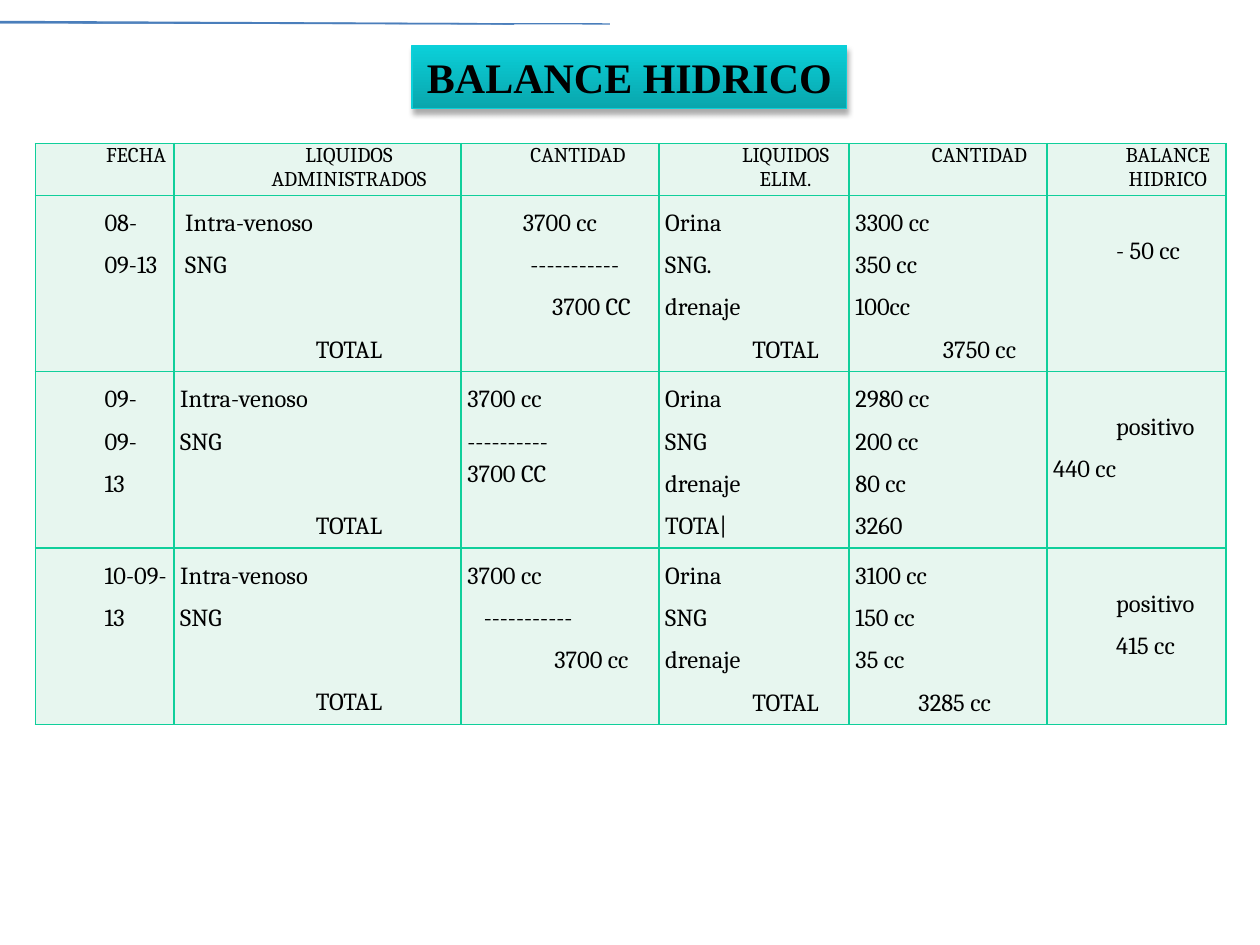
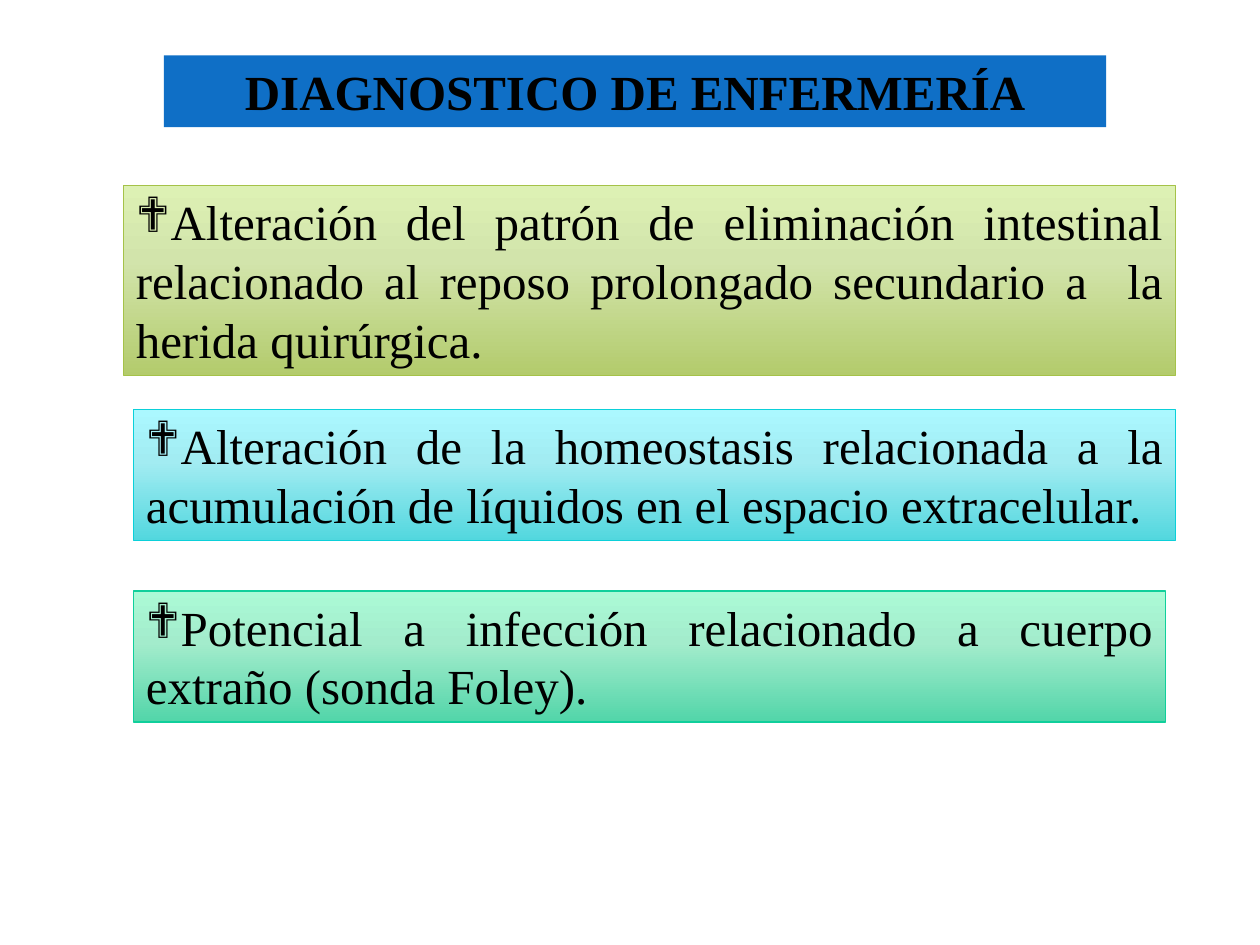
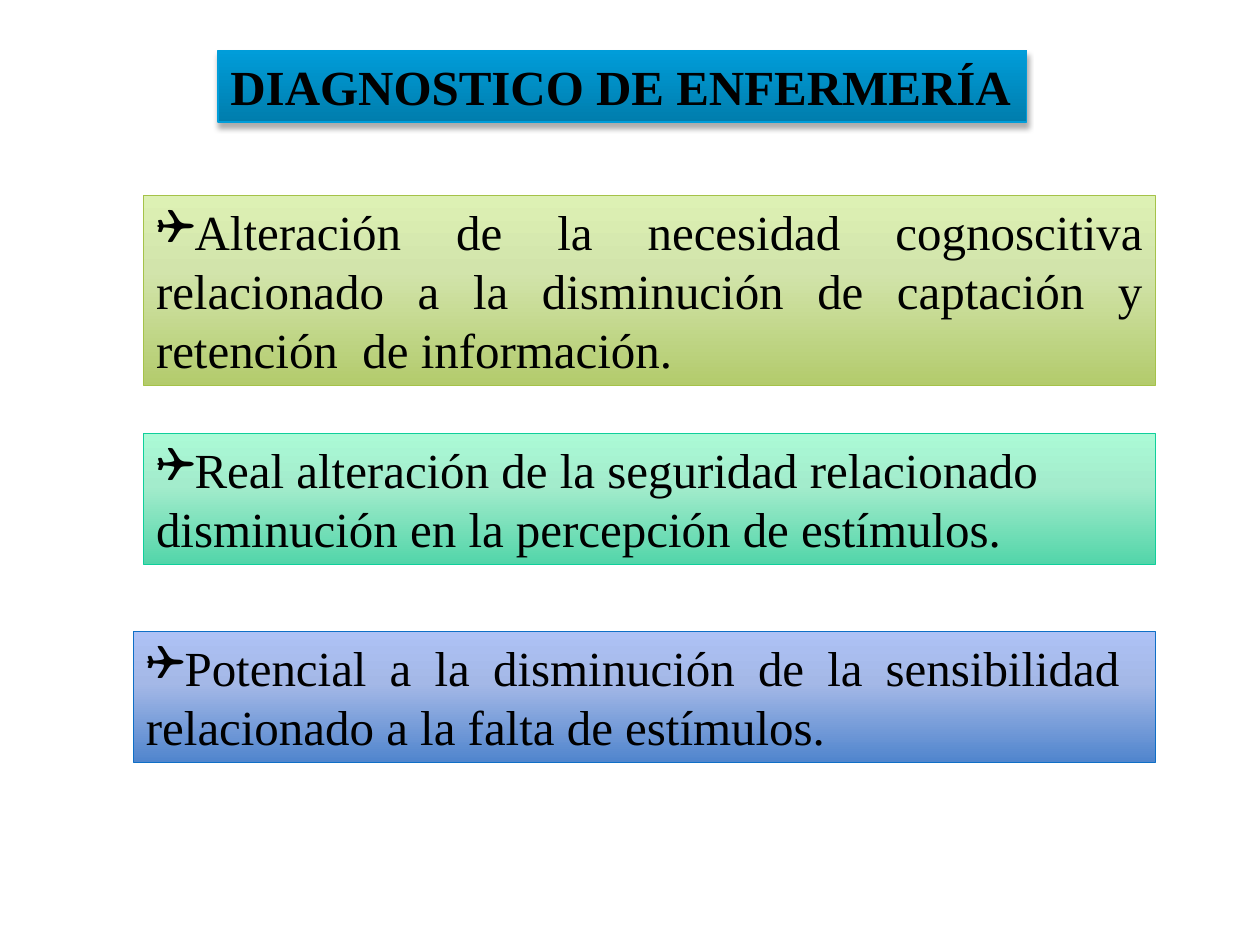
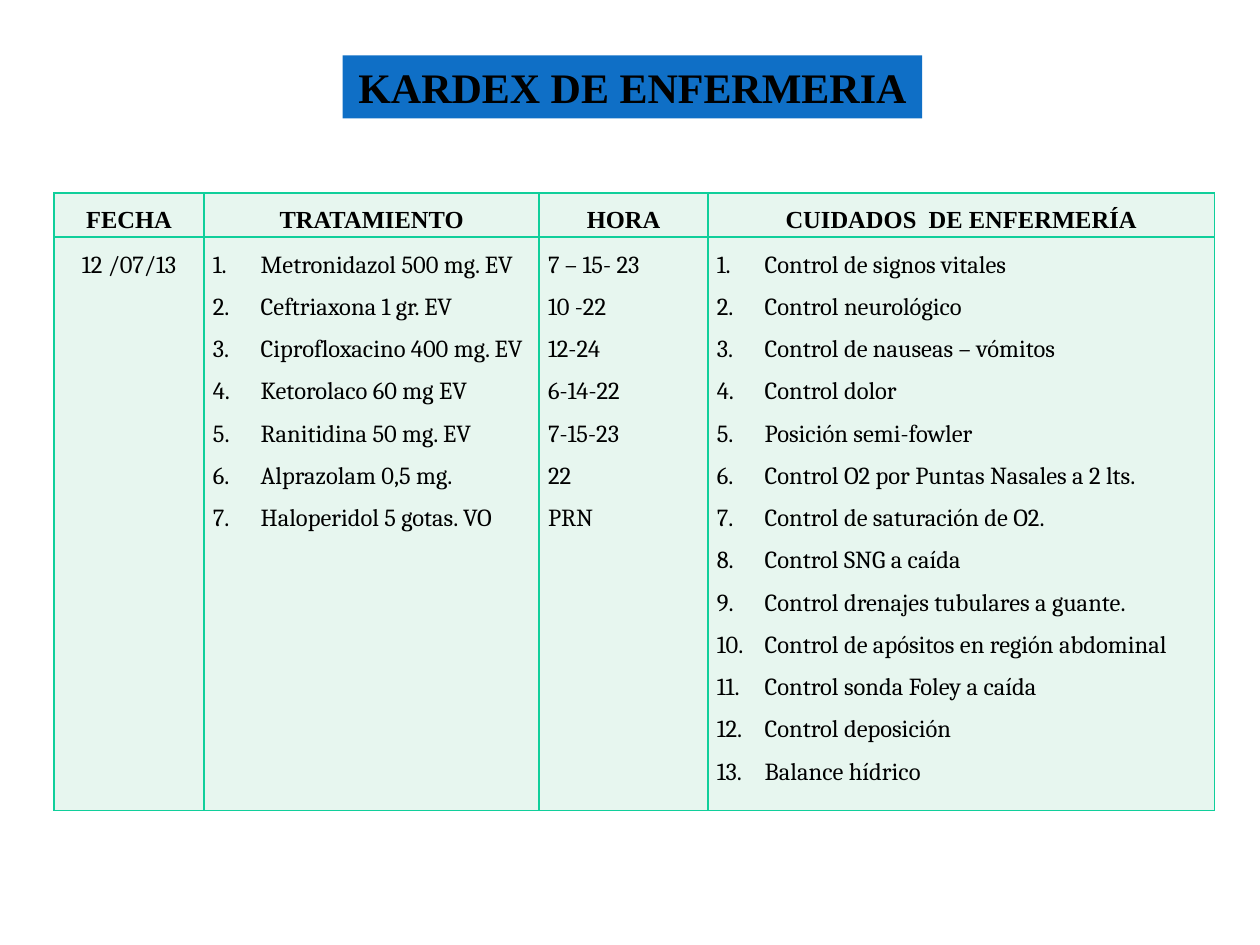
from copy import deepcopy
from dataclasses import dataclass

from lxml import etree
from pptx import Presentation
from pptx import util as u
from pptx.dml.color import RGBColor
from pptx.enum import shapes, text
from pptx.oxml import ns

GRID = u.Inches(0.1)  # the slide is 100 columns by 75 rows
CENTER, LEFT, JUSTIFY = text.PP_ALIGN.CENTER, text.PP_ALIGN.LEFT, text.PP_ALIGN.JUSTIFY


class Theme:
    serif, body = "Times New Roman", "Cambria"
    title, short_title, panel, cell, small = 28, 24, 28, 14, 12
    ink, cell_fill, border, rule = "000000", "E7F6EF", "10CF9B", "4A7EBB"
    # Each look is its gradient stops (position, colour) and its outline
    blue = [(0, "0F6FC6")], None
    teal = [(0, "0BD0D9"), (1, "09A6AD")], "0BD0D9"
    sky = [(0, "009DD9"), (1, "007DAD")], "009DD9"
    lime = [(0, "DDF1B4"), (0.4, "D2E4AB"), (1, "B3CB6C")], "A5C249"
    aqua = [(0, "ABF8FF"), (0.4, "A2ECF2"), (1, "52D7DE")], "0BD0D9"
    mint = [(0, "ABFAD6"), (0.4, "A3ECCC"), (1, "52D5A9")], "10CF9B"
    iris = [(0, "ADC1F5"), (0.4, "A4B8E7"), (1, "5085CD")], "0F6FC6"


@dataclass
class Para:
    """A cell paragraph; gap is the room above it, in grid rows."""
    text: str
    align: int = JUSTIFY
    left: float = 0
    spacing: float = 1.5
    gap: float = 0
    numbered: bool = False


def add_box(slide, box, words, look, size, bold=False, align=JUSTIFY, bullet=None,
            wrap=True, shadow=False):
    """Add a filled rectangle of text; box is left, top, width, height in grid units."""
    stops, outline = look
    sp = slide.shapes.add_shape(shapes.MSO_SHAPE.RECTANGLE, *(round(v * GRID) for v in box))
    sp.shadow.inherit = False
    if shadow:
        effects = sp._element.spPr.find(ns.qn("a:effectLst"))
        outer = etree.SubElement(effects, ns.qn("a:outerShdw"), blurRad="38100", dist="38100",
                                 dir="4800000", algn="tl", rotWithShape="0")
        black = etree.SubElement(outer, ns.qn("a:srgbClr"), val=Theme.ink)
        etree.SubElement(black, ns.qn("a:alpha"), val="32000")
    if len(stops) == 1:
        sp.fill.solid()
        sp.fill.fore_color.rgb = RGBColor.from_string(stops[0][1])
    else:
        sp.fill.gradient()
        sp.fill.gradient_angle = 270
        stop_list = sp._element.spPr.find(".//" + ns.qn("a:gsLst"))
        for _ in stops[2:]:
            stop_list.append(deepcopy(stop_list[0]))
        for stop, (position, color) in zip(sp.fill.gradient_stops, stops):
            stop.position = position
            stop.color.rgb = RGBColor.from_string(color)
    if outline:
        sp.line.color.rgb = RGBColor.from_string(outline)
        sp.line.width = u.Pt(0.75)
    else:
        sp.line.fill.background()
    tf = sp.text_frame
    tf.word_wrap = wrap
    tf.auto_size = text.MSO_AUTO_SIZE.SHAPE_TO_FIT_TEXT
    tf.vertical_anchor = text.MSO_ANCHOR.TOP
    p = tf.paragraphs[0]
    p.alignment = align
    if bullet:
        pPr = p._p.get_or_add_pPr()
        etree.SubElement(pPr, ns.qn("a:buFont"), typeface="Wingdings")
        etree.SubElement(pPr, ns.qn("a:buChar"), char=bullet)
    r = p.add_run()
    r.text = words
    r.font.name, r.font.size, r.font.bold = Theme.serif, u.Pt(size), bold
    r.font.color.rgb = RGBColor.from_string(Theme.ink)


def add_grid_table(slide, left, top, columns, heights, rows, inset, head_font, head_size, head_bold):
    box = (left, top, sum(columns), sum(heights))
    frame = slide.shapes.add_table(len(rows), len(columns), *(round(v * GRID) for v in box))
    table = frame.table
    table.first_row = table.horz_banding = False
    for column, width in zip(table.columns, columns):
        column.width = round(width * GRID)
    for i, (height, cells) in enumerate(zip(heights, rows)):
        table.rows[i].height = round(height * GRID)
        font, size, bold = (Theme.body, Theme.cell, False) if i else (head_font, head_size, head_bold)
        for j, paragraphs in enumerate(cells):
            cell = table.cell(i, j)
            cell.margin_left = cell.margin_right = round(inset * GRID)
            cell.margin_top = cell.margin_bottom = 0
            tcPr = cell._tc.get_or_add_tcPr()
            for side in ("a:lnL", "a:lnR", "a:lnT", "a:lnB"):
                ln = etree.SubElement(tcPr, ns.qn(side), w=str(u.Pt(1)))
                solid = etree.SubElement(ln, ns.qn("a:solidFill"))
                etree.SubElement(solid, ns.qn("a:srgbClr"), val=Theme.border)
            cell.fill.solid()
            cell.fill.fore_color.rgb = RGBColor.from_string(Theme.cell_fill)
            tf = cell.text_frame
            for k, item in enumerate(paragraphs):
                para = Para(item) if isinstance(item, str) else item
                p = tf.add_paragraph() if k else tf.paragraphs[0]
                p.alignment, p.line_spacing = para.align, para.spacing
                if para.gap and k:
                    p.space_before = u.Pt(round(para.gap * GRID / u.Pt(1)))
                elif para.gap:
                    cell.margin_top = round(para.gap * GRID)
                pPr = p._p.get_or_add_pPr()
                margin = round(para.left * GRID)
                pPr.set("marL", str(margin))
                pPr.set("indent", str(-margin if para.numbered else 0))
                if para.numbered:
                    etree.SubElement(pPr, ns.qn("a:buAutoNum"), type="arabicPeriod")
                r = p.add_run()
                r.text = para.text
                r.font.name, r.font.size, r.font.bold = font, u.Pt(size), bold
                r.font.color.rgb = RGBColor.from_string(Theme.ink)


prs = Presentation()
prs.slide_width, prs.slide_height = 100 * GRID, 75 * GRID
balance, diagnosis, perception, kardex = (
    prs.slides.add_slide(prs.slide_layouts[6]) for _ in range(4))

# Slide 1: fluid balance
add_box(balance, (32.7, 3.6, 34.5, 5), "BALANCE HIDRICO", Theme.teal, Theme.short_title,
        bold=True, align=CENTER, wrap=False, shadow=True)

LINE, HALF_LINE, TAB = 3.35, 2.2, 5
total = Para("TOTAL", CENTER, TAB)
late_total = Para("TOTAL", CENTER, TAB, gap=LINE)
heads = [("FECHA", CENTER), ("LIQUIDOS ADMINISTRADOS", CENTER), ("CANTIDAD", LEFT),
         ("LIQUIDOS ELIM.", CENTER), ("CANTIDAD", CENTER), ("BALANCE HIDRICO", CENTER)]
balance_rows = [
    [[Para(words, align, TAB, 1)] for words, align in heads],
    [[Para("08-09-13", left=TAB)],
     [Para("Intra-venoso", LEFT, 0.4), Para("SNG", LEFT, 0.4), late_total],
     [Para("3700 cc", CENTER), Para("-----------", LEFT, TAB), Para("3700 CC", CENTER, TAB)],
     ["Orina", "SNG.", "drenaje", total],
     ["3300 cc", "350 cc", "100cc", Para("3750 cc", CENTER, TAB)],
     [Para("- 50 cc", left=TAB, gap=HALF_LINE)]],
    [[Para("09-09-", left=TAB), Para("13", left=TAB)],
     ["Intra-venoso", "SNG", late_total],
     ["3700 cc", "----------", Para("3700 CC", spacing=1.15)],
     ["Orina", "SNG", "drenaje", "TOTA|"],
     ["2980 cc", "200 cc", Para("80 cc", LEFT), "3260"],
     [Para("positivo", left=TAB, gap=HALF_LINE), "440 cc"]],
    [[Para("10-09-13", left=TAB)],
     ["Intra-venoso", "SNG", late_total],
     ["3700 cc", Para("-----------", left=1.3), Para("3700 cc", CENTER, TAB)],
     ["Orina", "SNG", "drenaje", total],
     ["3100 cc", "150 cc", "35 cc", Para("3285 cc", left=TAB)],
     [Para("positivo", left=TAB, gap=HALF_LINE), Para("415 cc", left=TAB)]],
]
add_grid_table(balance, 2.8, 11.4, [11, 22.8, 15.7, 15.1, 15.7, 14.2], [4.1, 14, 14, 14],
               balance_rows, 0.5, Theme.body, Theme.small, False)

for start_row, end_column in [(1.8, 40.8), (1.7, 40.8), (1.8, 48.4)]:
    ends = (-0.8, start_row, end_column, 1.9)
    rule = balance.shapes.add_connector(shapes.MSO_CONNECTOR.STRAIGHT,
                                        *(round(v * GRID) for v in ends))
    rule.line.color.rgb = RGBColor.from_string(Theme.rule)
    rule.line.width = u.Pt(0.75)
    etree.SubElement(rule._element.spPr, ns.qn("a:effectLst"))

# Slides 2 and 3: nursing diagnoses
add_box(diagnosis, (13, 4.4, 74.8, 5.7), "DIAGNOSTICO DE ENFERMERÍA", Theme.blue, Theme.title,
        bold=True, align=CENTER)
add_box(perception, (17.3, 4, 64.2, 5.7), "DIAGNOSTICO DE ENFERMERÍA", Theme.sky, Theme.title,
        bold=True, align=LEFT, shadow=True)

panels = [
    (diagnosis, "❖", (9.8, 14.7, 83.5, 15.1), Theme.lime, JUSTIFY,
     "Alteración del patrón de eliminación intestinal relacionado al reposo prolongado "
     "secundario a  la herida quirúrgica."),
    (diagnosis, "❖", (10.6, 32.5, 82.7, 10.4), Theme.aqua, JUSTIFY,
     "Alteración de la homeostasis relacionada a la acumulación de líquidos en el espacio "
     "extracelular."),
    (diagnosis, "❖", (10.6, 46.9, 81.9, 10.4), Theme.mint, JUSTIFY,
     "Potencial a infección relacionado a cuerpo extraño (sonda Foley)."),
    (perception, "❑", (11.4, 15.5, 80.3, 15.1), Theme.lime, JUSTIFY,
     "Alteración de la necesidad cognoscitiva relacionado a la disminución de captación y "
     "retención  de información."),
    (perception, "❑", (11.4, 34.4, 80.3, 10.4), Theme.mint, LEFT,
     "Real alteración de la seguridad relacionado disminución en la percepción de estímulos."),
    (perception, "❑", (10.6, 50.1, 81.1, 10.4), Theme.iris, JUSTIFY,
     "Potencial a la disminución de la sensibilidad  relacionado a la falta de estímulos."),
]
for slide, bullet, box, look, align, words in panels:
    add_box(slide, box, words, look, Theme.panel, align=align, bullet=bullet)

# Slide 4: treatment and care
add_box(kardex, (27.2, 4.4, 46, 5), "KARDEX DE ENFERMERIA", Theme.blue, Theme.short_title,
        bold=True, align=CENTER, wrap=False)

treatments = ["Metronidazol 500 mg. EV", "Ceftriaxona 1 gr. EV", "Ciprofloxacino 400 mg. EV",
              "Ketorolaco 60 mg EV", "Ranitidina 50 mg. EV", "Alprazolam 0,5 mg.",
              "Haloperidol 5 gotas. VO"]
hours = ["7 – 15- 23", "10 -22", "12-24", "6-14-22", "7-15-23", "22", "PRN"]
care = ["Control de signos vitales", "Control neurológico", "Control de nauseas – vómitos",
        "Control dolor", "Posición semi-fowler", "Control O2 por Puntas Nasales a 2 lts.",
        "Control de saturación de O2.", "Control SNG a caída",
        "Control drenajes tubulares a guante.", "Control de apósitos en región abdominal",
        "Control sonda Foley a caída", "Control deposición", "Balance hídrico"]
kardex_rows = [
    [[Para(words, CENTER)]
     for words in ("FECHA", "TRATAMIENTO", "HORA", "CUIDADOS  DE ENFERMERÍA")],
    [[Para("12 /07/13", CENTER)],
     [Para(words, left=3.8, numbered=True) for words in treatments],
     [Para(words, LEFT) for words in hours],
     [Para(words, left=3.8, numbered=True) for words in care]],
]
add_grid_table(kardex, 4.3, 15.3, [11.9, 26.6, 13.4, 40.2], [3.5, 45.5],
               kardex_rows, 0.7, Theme.serif, Theme.cell, True)

prs.save("out.pptx")
